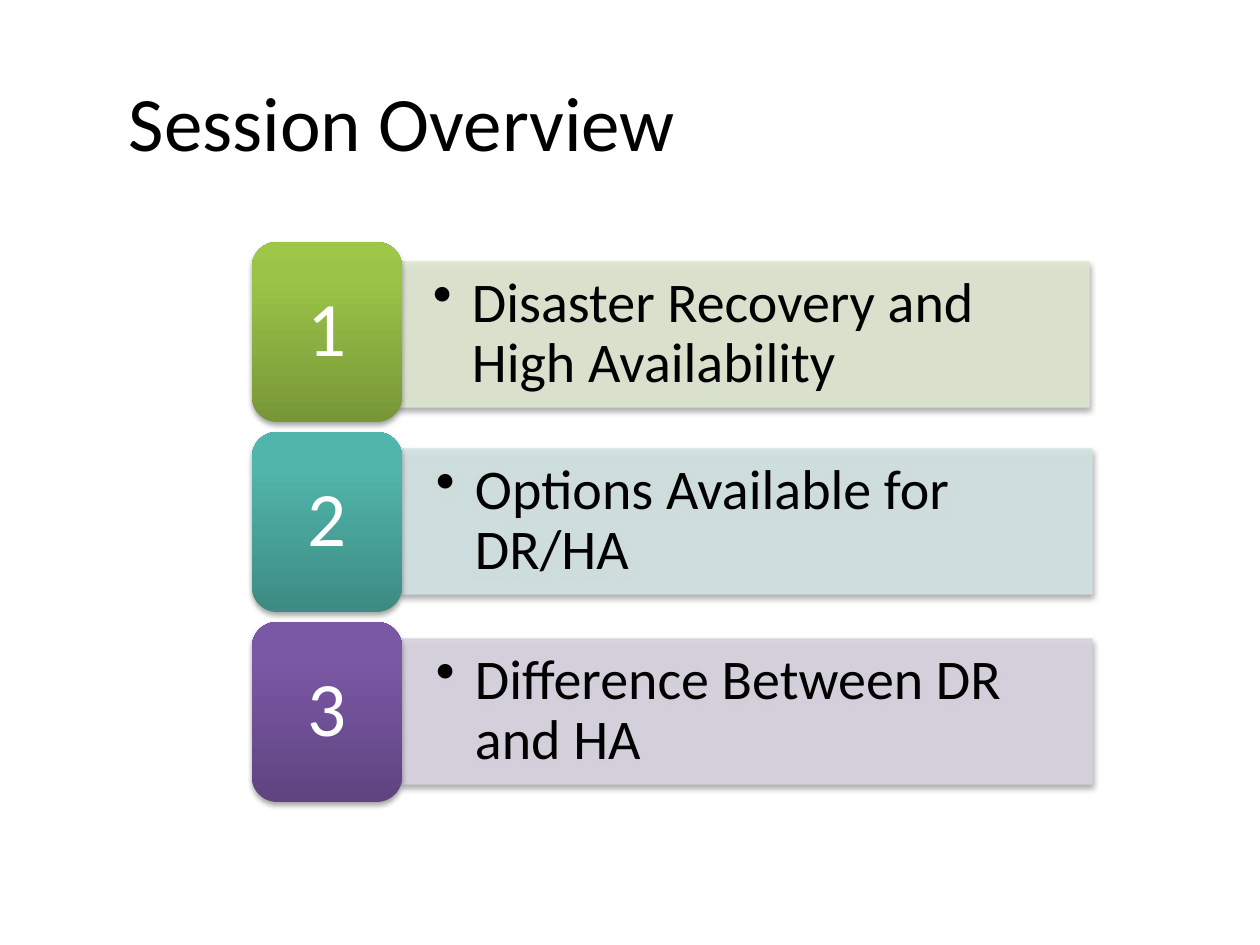
from copy import deepcopy
from typing import NamedTuple

from lxml import etree
from pptx import Presentation
from pptx.dml.color import RGBColor
from pptx.enum.shapes import MSO_SHAPE as Kind
from pptx.enum.text import MSO_ANCHOR as Anchor, PP_ALIGN as Align
from pptx.oxml.ns import qn
from pptx.util import Emu, Pt

SCALE = 914400 // 126
NS = "http://schemas.openxmlformats.org/drawingml/2006/main"
FONT = "Calibri"
BLACK = RGBColor(0, 0, 0)
WHITE = RGBColor(255, 255, 255)
STOPS = (0, 0.8, 1)


class Item(NamedTuple):
    text: str
    left: int
    top: int
    pale: RGBColor
    shades: tuple[RGBColor, ...]


ITEMS = [
    Item("Disaster Recovery and High Availability", 399, 262,
         RGBColor(0xDE, 0xE7, 0xD1),
         (RGBColor(0x77, 0x97, 0x37), RGBColor(0x9B, 0xC3, 0x48), RGBColor(0x9D, 0xC7, 0x46))),
    Item("Options Available for DR/HA", 402, 449,
         RGBColor(0xD2, 0xE3, 0xE2),
         (RGBColor(0x3D, 0x8B, 0x83), RGBColor(0x50, 0xB5, 0xAA), RGBColor(0x4E, 0xB8, 0xAC))),
    Item("Difference Between DR and HA", 402, 639,
         RGBColor(0xD8, 0xD3, 0xE0),
         (RGBColor(0x5F, 0x44, 0x80), RGBColor(0x7B, 0x58, 0xA6), RGBColor(0x7C, 0x57, 0xA8))),
]


def px(num: int) -> Emu:
    return Emu(num * SCALE)


def place(shape, left: int, top: int, width: int, height: int) -> None:
    shape.left, shape.top = px(left), px(top)
    shape.width, shape.height = px(width), px(height)


def write(shape, text: str, size: int, color: RGBColor, align: Align, pad: int):
    frame = shape.text_frame
    frame.text = text
    frame.word_wrap = True
    frame.vertical_anchor = Anchor.MIDDLE
    frame.margin_left = frame.margin_right = px(pad)
    frame.margin_top = frame.margin_bottom = px(pad // 2)
    para = frame.paragraphs[0]
    para.alignment = align
    font = para.runs[0].font
    font.name, font.size, font.color.rgb = FONT, Pt(size), color
    return para


def shade(shape) -> None:
    shape.shadow.inherit = False
    effect = shape._element.spPr.find(qn("a:effectLst"))
    effect.append(etree.fromstring(
        f'<a:outerShdw xmlns:a="{NS}" blurRad="40000" dist="23000" dir="5400000" '
        'rotWithShape="0"><a:srgbClr val="000000"><a:alpha val="35000"/>'
        '</a:srgbClr></a:outerShdw>'))


def draw_bar(shapes, item: Item) -> None:
    bar = shapes.add_shape(Kind.RECTANGLE, px(item.left), px(item.top), px(690), px(145))
    bar.fill.solid()
    bar.fill.fore_color.rgb = item.pale
    bar.line.color.rgb = item.pale
    bar.line.width = Pt(0.75)
    for color in bar._element.spPr.iter(qn("a:srgbClr")):
        etree.SubElement(color, qn("a:alpha")).set("val", "90000")
    shade(bar)
    para = write(bar, item.text, 32, BLACK, Align.LEFT, 34)
    para.line_spacing = 0.9
    # Hanging bullet
    props = para._p.get_or_add_pPr()
    props.set("marL", str(px(39)))
    props.set("indent", str(-px(39)))
    etree.SubElement(props, qn("a:buChar")).set("char", "•")


def draw_tile(shapes, num: int, item: Item) -> None:
    top = 242 + 190 * (num - 1)
    tile = shapes.add_shape(Kind.ROUNDED_RECTANGLE, px(252), px(top), px(150), px(180))
    tile.fill.gradient()
    tile.fill.gradient_angle = 90
    # Third gradient stop
    stops = next(tile._element.spPr.iter(qn("a:gsLst")))
    stops.append(deepcopy(stops[-1]))
    for stop, pos, color in zip(tile.fill.gradient_stops, STOPS, item.shades):
        stop.position, stop.color.rgb = pos, color
    tile.line.fill.background()
    shade(tile)
    write(tile, str(num), 44, WHITE, Align.CENTER, 22).line_spacing = 0.9


deck = Presentation()
deck.slide_width, deck.slide_height = px(1260), px(945)
slide = deck.slides.add_slide(deck.slide_layouts[5])

# Title
title = slide.shapes.title
place(title, 116, 42, 1113, 157)
write(title, "Session Overview", 44, BLACK, Align.LEFT, 13)

# Numbered rows
for num, item in enumerate(ITEMS, 1):
    draw_bar(slide.shapes, item)
    draw_tile(slide.shapes, num, item)

deck.save("out.pptx")
